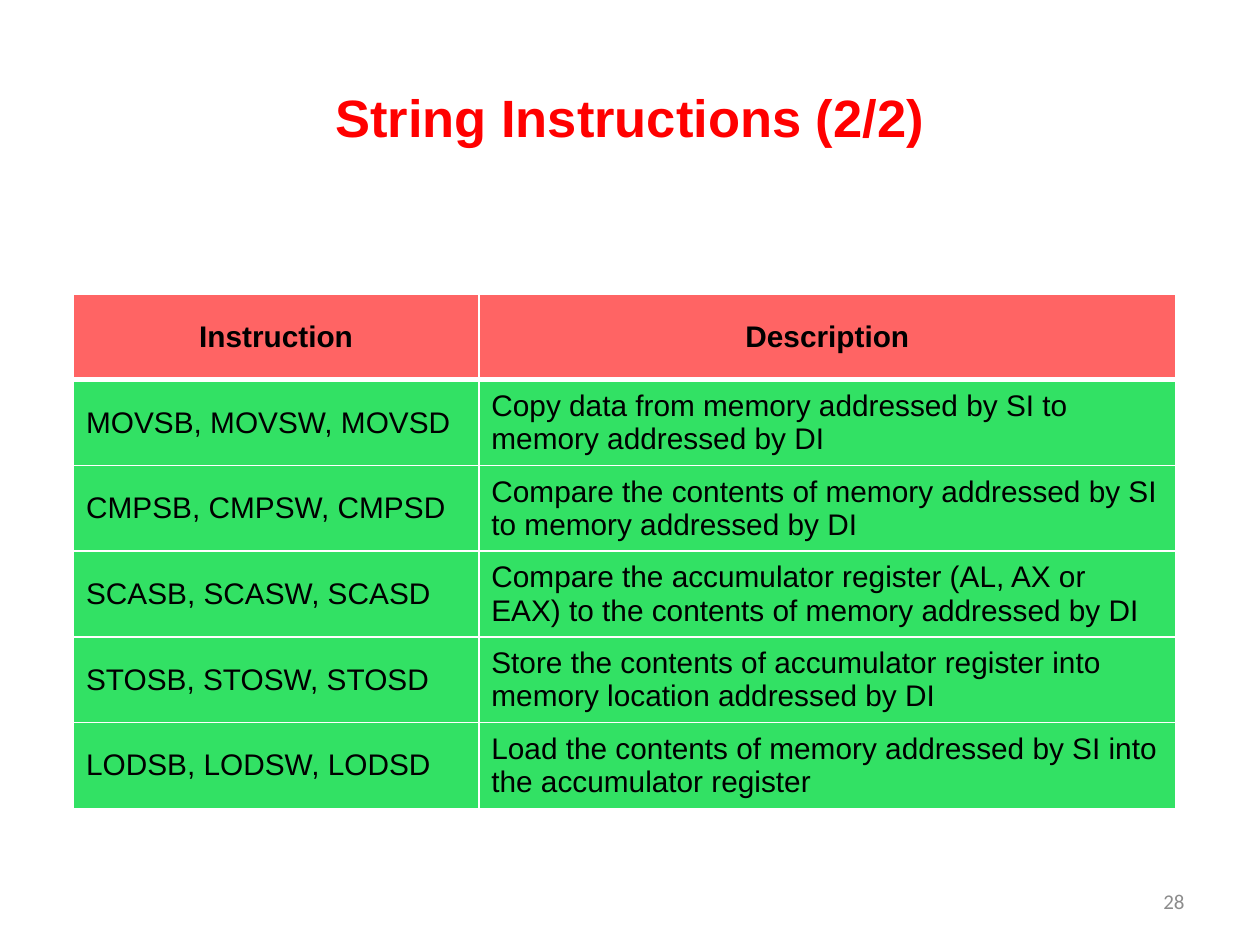
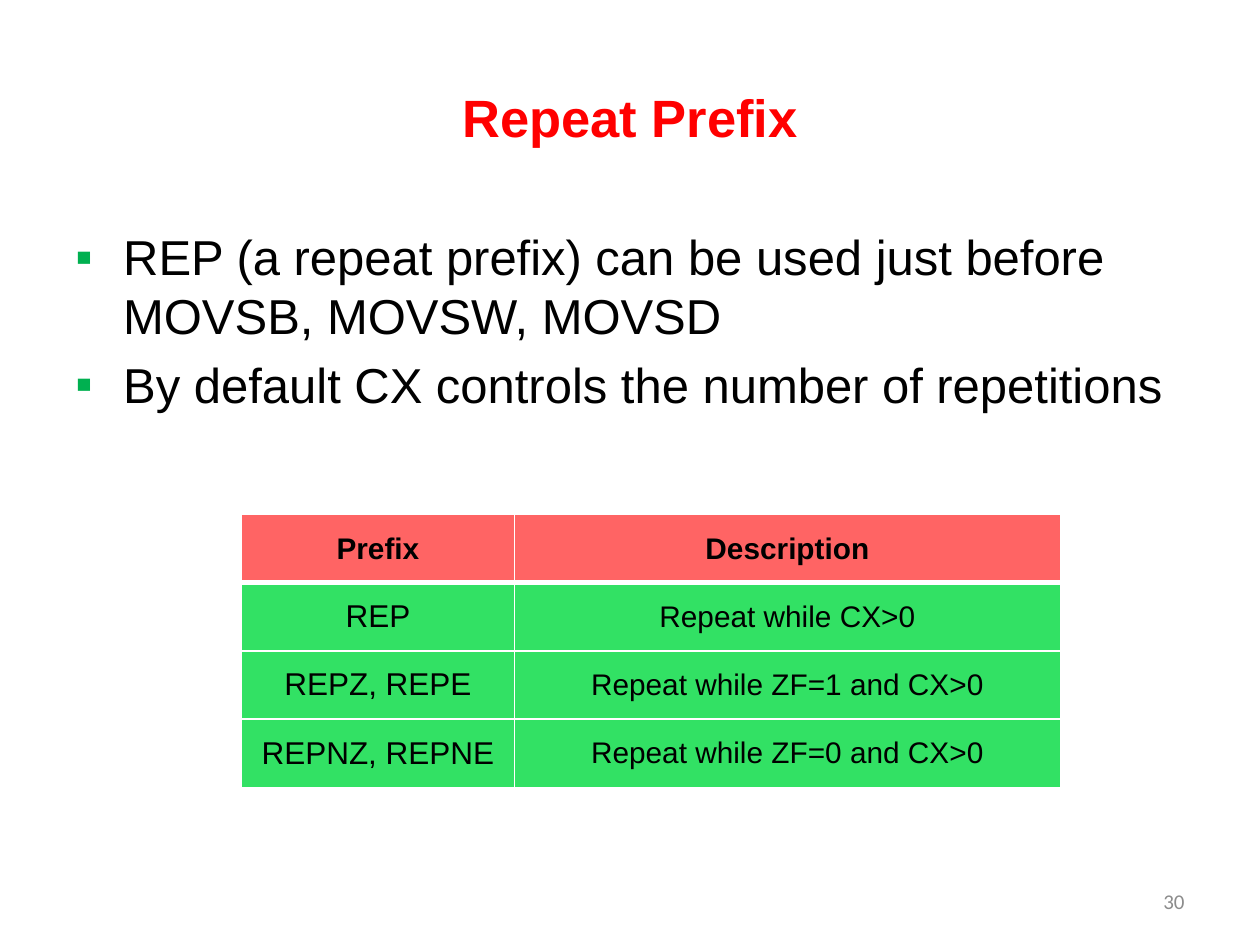
"""Build two slides on x86 string instructions and repeat prefixes."""
from dataclasses import dataclass

from lxml.etree import SubElement
from pptx import Presentation
from pptx.dml.color import RGBColor as Color
from pptx.enum.text import MSO_ANCHOR as Anchor, MSO_AUTO_SIZE as AutoSize, PP_ALIGN as Align
from pptx.oxml.ns import qn
from pptx.util import Inches, Pt

COLUMNS, ROWS = 120, 90


@dataclass(frozen=True)
class Theme:
    text_font: str = "Arial"
    number_font: str = "Calibri"
    title: str = "FF0000"
    text: str = "000000"
    number: str = "8C8C8C"
    bullet: str = "00B050"
    header_fill: str = "FF6464"
    body_fill: str = "32E164"
    border: str = "FFFFFF"
    title_size: int = 30
    bullet_size: int = 28
    key_size: int = 18
    cell_size: int = 17
    number_size: int = 12
    thin: int = 1
    thick: int = 3


def write(frame, *lines, size, font, color, bold=False, align=Align.LEFT, anchor=Anchor.MIDDLE):
    frame.word_wrap = True
    frame.vertical_anchor = anchor
    for index, line in enumerate(lines):
        para = frame.paragraphs[0] if index == 0 else frame.add_paragraph()
        para.alignment = align
        span = para.add_run()
        span.text = line
        span.font.size = Pt(size)
        span.font.name = font
        span.font.bold = bold
        span.font.color.rgb = Color.from_string(color)


class SlideBuilder:
    def __init__(self, deck, theme):
        self.deck, self.theme = deck, theme
        self.page = None

    def across(self, columns):
        return round(self.deck.slide_width * columns / COLUMNS)

    def down(self, rows):
        return round(self.deck.slide_height * rows / ROWS)

    def area(self, left, top, width, height):
        return self.across(left), self.down(top), self.across(width), self.down(height)

    def start(self, title, number):
        theme = self.theme
        self.page = self.deck.slides.add_slide(self.deck.slide_layouts.get_by_name("Title Only"))
        box = self.page.shapes.title
        box.left, box.top, box.width, box.height = self.area(6, 3.6, 108, 15)
        box.text_frame.auto_size = AutoSize.NONE
        write(box.text_frame, title, size=theme.title_size, font=theme.text_font,
              color=theme.title, bold=True, align=Align.CENTER)
        footer = self.page.shapes.add_textbox(*self.area(86, 83.4, 28, 4.8))
        write(footer.text_frame, str(number), size=theme.number_size, font=theme.number_font,
              color=theme.number, align=Align.RIGHT)

    def bullets(self, area, *lines):
        theme = self.theme
        frame = self.page.shapes.add_textbox(*self.area(*area)).text_frame
        write(frame, *lines, size=theme.bullet_size, font=theme.text_font,
              color=theme.text, anchor=Anchor.TOP)
        indent = Inches(0.38)
        for para in frame.paragraphs:
            para.space_before = Pt(theme.bullet_size * 0.2)
            properties = para._p.get_or_add_pPr()
            properties.set("marL", str(indent))
            properties.set("indent", str(-indent))
            tint = SubElement(properties, qn("a:buClr"))
            SubElement(tint, qn("a:srgbClr"), val=theme.bullet)
            SubElement(properties, qn("a:buFont"), typeface=theme.text_font)
            SubElement(properties, qn("a:buChar"), char="▪")

    def borders(self, cell, top, bottom):
        properties = cell._tc.get_or_add_tcPr()
        thin = self.theme.thin
        for side, width in (("L", thin), ("R", thin), ("T", top), ("B", bottom)):
            line = SubElement(properties, qn(f"a:ln{side}"), w=str(Pt(width)))
            fill = SubElement(line, qn("a:solidFill"))
            SubElement(fill, qn("a:srgbClr"), val=self.theme.border)

    def table(self, area, widths, records, key_size, align):
        theme = self.theme
        grid = self.page.shapes.add_table(len(records), len(widths), *self.area(*area)).table
        for column, width in zip(grid.columns, widths):
            column.width = self.across(width)
        for row_index, record in enumerate(records):
            header = row_index == 0
            grid.rows[row_index].height = self.down(area[3] / len(records))
            for column_index, text in enumerate(record):
                cell = grid.cell(row_index, column_index)
                self.borders(cell, theme.thick if row_index == 1 else theme.thin,
                             theme.thick if header else theme.thin)
                cell.fill.solid()
                cell.fill.fore_color.rgb = Color.from_string(
                    theme.header_fill if header else theme.body_fill)
                cell.vertical_anchor = Anchor.MIDDLE
                is_key = column_index == 0 and not header
                write(cell.text_frame, text, size=key_size if is_key else theme.cell_size,
                      font=theme.text_font, color=theme.text, bold=header,
                      align=Align.CENTER if header else align)


INSTRUCTIONS = (
    ("Instruction", "Description"),
    ("MOVSB, MOVSW, MOVSD", "Copy data from memory addressed by SI to memory addressed by DI"),
    ("CMPSB, CMPSW, CMPSD",
     "Compare the contents of memory addressed by SI to memory addressed by DI"),
    ("SCASB, SCASW, SCASD",
     "Compare the accumulator register (AL, AX or EAX) to the contents of memory addressed by DI"),
    ("STOSB, STOSW, STOSD",
     "Store the contents of accumulator register into memory location addressed by DI"),
    ("LODSB, LODSW, LODSD",
     "Load the contents of memory addressed by SI into the accumulator register"),
)
PREFIXES = (
    ("Prefix", "Description"),
    ("REP", "Repeat while CX>0"),
    ("REPZ, REPE", "Repeat while ZF=1 and CX>0"),
    ("REPNZ, REPNE", "Repeat while ZF=0 and CX>0"),
)


def main():
    deck = Presentation()
    deck.slide_width, deck.slide_height = Inches(10), Inches(7.5)
    theme = Theme()
    builder = SlideBuilder(deck, theme)

    builder.start("String Instructions (2/2)", 28)
    builder.table((7, 28, 105, 49), (38.6, 66.4), INSTRUCTIONS, theme.cell_size, Align.LEFT)

    builder.start("Repeat Prefix", 30)
    builder.bullets((6, 21, 108, 59.4),
                    "REP (a repeat prefix) can be used just before MOVSB, MOVSW, MOVSD",
                    "By default CX controls the number of repetitions")
    builder.table((23, 49, 78, 26), (26, 52), PREFIXES, theme.key_size, Align.CENTER)

    deck.save("out.pptx")


if __name__ == "__main__":
    main()
